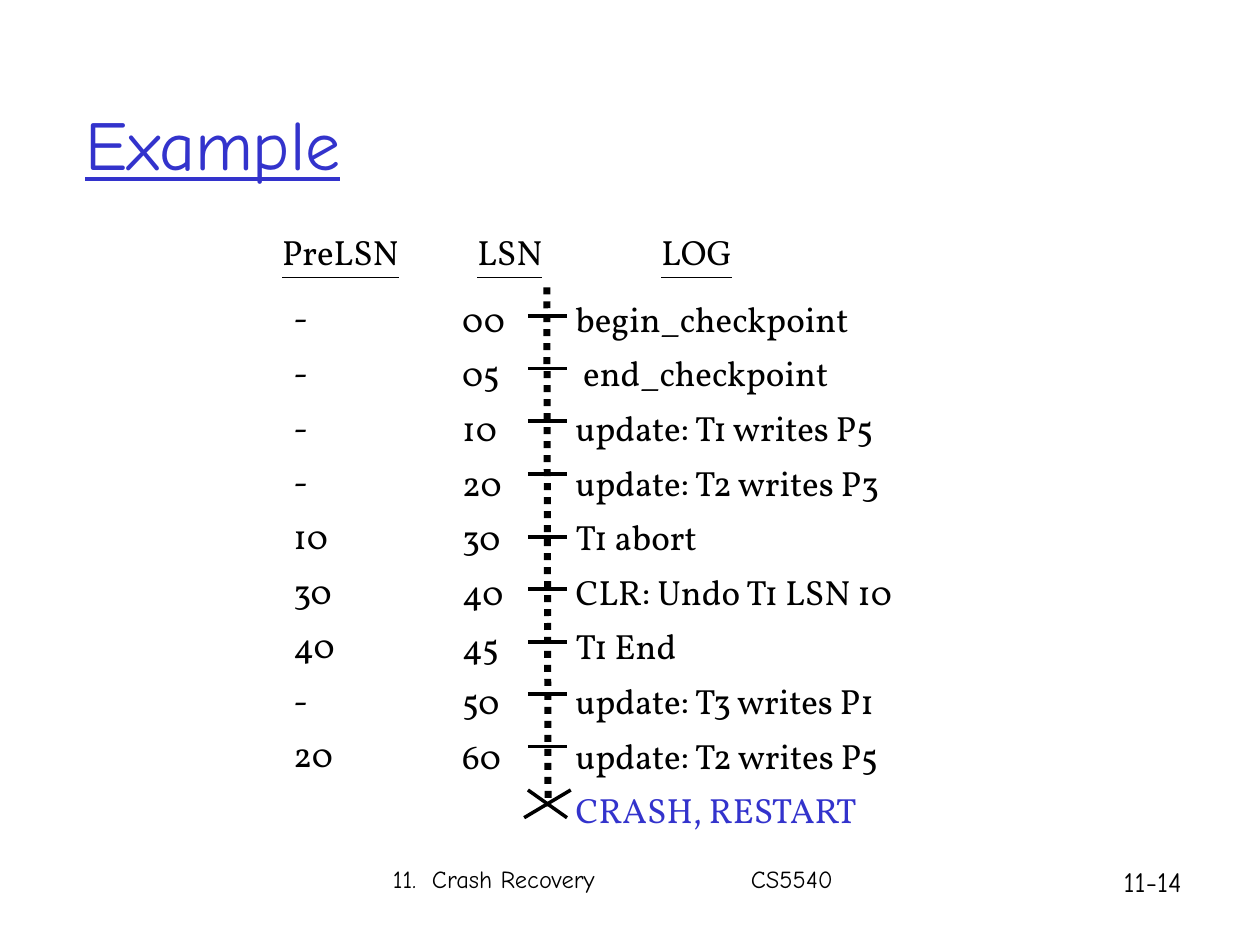
import pptx
import pptx.dml.color
import pptx.enum.dml
import pptx.enum.shapes
import pptx.enum.text
import pptx.oxml.ns
import pptx.util
from lxml import etree
from pptx.util import Inches

COLORS = {"ink": "000000", "accent": "3333CC"}
HEADING_FONT, BODY_FONT = "Comic Neue", "Vollkorn"
MIDDLE = pptx.enum.text.MSO_ANCHOR.MIDDLE

# PreLSN, LSN, log entry
LOG = [
    ("-", "00", "begin_checkpoint"),
    ("-", "05", "end_checkpoint"),
    ("-", "10", "update: T1 writes P5"),
    ("-", "20", "update: T2 writes P3"),
    ("10", "30", "T1 abort"),
    ("30", "40", "CLR: Undo T1 LSN 10"),
    ("40", "45", "T1 End"),
    ("-", "50", "update: T3 writes P1"),
    ("20", "60", "update: T2 writes P5"),
]


def rgb(name):
    return pptx.dml.color.RGBColor.from_string(COLORS[name])


def add_tabs(p, stops):
    tabs = etree.SubElement(p._p.get_or_add_pPr(), pptx.oxml.ns.qn("a:tabLst"))
    for stop in stops:
        etree.SubElement(tabs, pptx.oxml.ns.qn("a:tab"), pos=str(Inches(stop)), algn="l")


def add_text(s, box, lines, size, font, color="ink", underline=None, tabs=(),
             spacing=None, wrap=True, anchor=None):
    """Add a text box with one paragraph per line and return its paragraphs."""
    tf = s.shapes.add_textbox(*map(Inches, box)).text_frame
    tf.word_wrap = wrap
    tf.vertical_anchor = anchor
    formats = {"size": pptx.util.Pt(size), "name": font, "underline": underline}
    for i, line in enumerate(lines):
        p = tf.paragraphs[0] if i == 0 else tf.add_paragraph()
        if tabs:
            add_tabs(p, tabs)
        p.line_spacing = spacing
        r = p.add_run()
        r.text = line
        for key, value in formats.items():
            setattr(r.font, key, value)
        r.font.color.rgb = rgb(color)
    return tf.paragraphs


def add_line(s, x1, y1, x2, y2, width=2, dash=None):
    line = s.shapes.add_connector(pptx.enum.shapes.MSO_CONNECTOR.STRAIGHT,
                                  *map(Inches, (x1, y1, x2, y2)))
    line.line.color.rgb = rgb("ink")
    line.line.width = pptx.util.Pt(width)
    line.line.dash_style = dash
    etree.SubElement(line._element.spPr, pptx.oxml.ns.qn("a:effectLst"))


def add_log(s):
    add_text(s, (2.14, 1.78, 5.25, 0.43), ["PreLSN\tLSN\tLOG"], 20, BODY_FONT,
             underline=True, tabs=(1.55, 3.01))
    pre_lsns, lsns, entries = zip(*LOG)
    columns = [((2.23, 2.2, 0.6, 4), pre_lsns),
               ((3.57, 2.21, 0.6, 4), lsns),
               ((4.47, 2.21, 2.98, 4.43), entries + ("CRASH, RESTART",))]
    for box, lines in columns:
        paragraphs = add_text(s, box, lines, 20, BODY_FONT, spacing=1.3, wrap=False)
    paragraphs[1]._p.get_or_add_pPr().set("marL", str(Inches(0.06)))
    paragraphs[-1].runs[0].font.color.rgb = rgb("accent")


def add_timeline(s):
    add_line(s, 4.34, 2.28, 4.35, 6.4, 4, pptx.enum.dml.MSO_LINE.ROUND_DOT)
    for top, count in ((2.51, 4), (4.26, 5)):
        for i in range(count):
            y = top + 5 / 12 * i
            add_line(s, 4.19, y, 4.5, y)
    add_line(s, 4.19, 6.27, 4.5, 6.49)
    add_line(s, 4.53, 6.27, 4.16, 6.49)


def main():
    prs = pptx.Presentation()
    prs.slide_width, prs.slide_height = Inches(10), Inches(7.5)
    s = prs.slides.add_slide(prs.slide_layouts[6])
    add_text(s, (0.58, 0.51, 8.5, 1.24), ["Example"], 40, HEADING_FONT, "accent",
             underline=True, anchor=MIDDLE)
    add_log(s)
    add_timeline(s)
    add_text(s, (3.02, 6.81, 5.68, 0.5), ["11.\tCrash Recovery\tCS5540"], 14,
             HEADING_FONT, tabs=(0.31, 2.84))
    add_text(s, (8.82, 6.81, 0.91, 0.37), ["11-14"], 16, HEADING_FONT)
    prs.save("out.pptx")


if __name__ == "__main__":
    main()
